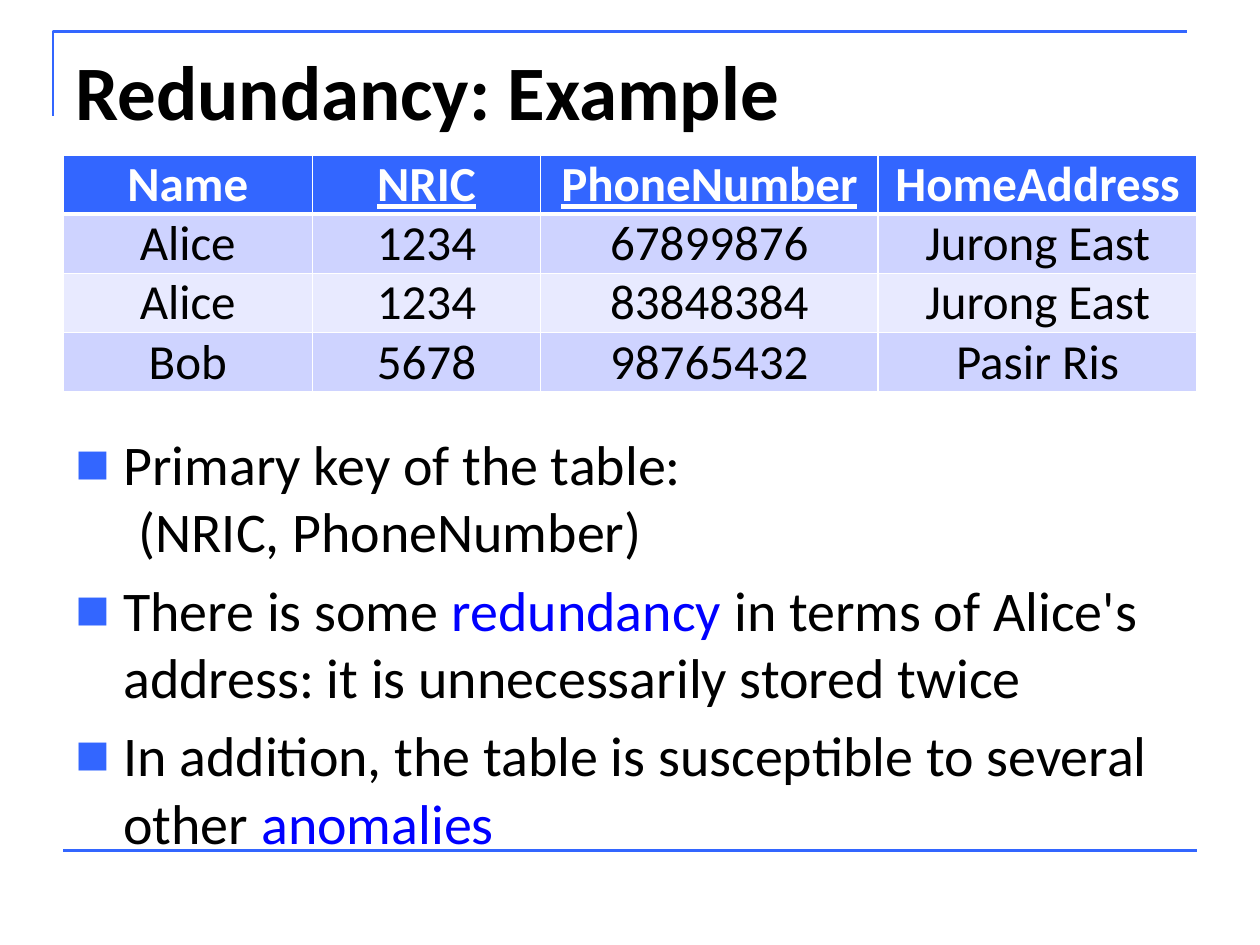
"""Build the slide about a redundancy example in a relational table."""
from lxml.etree import SubElement
from pptx import Presentation
from pptx.dml.color import RGBColor
from pptx.enum.shapes import MSO_CONNECTOR as Connector
from pptx.enum.text import MSO_ANCHOR as Anchor, PP_ALIGN as Align
from pptx.oxml.ns import qn
from pptx.util import Inches, Pt

FONT = "Calibri"
COLORS = {
    "blue": "3366FF",
    "highlight": "0000FF",
    "black": "000000",
    "white": "FFFFFF",
    "odd_row": "CED3FF",
    "even_row": "E8EAFF",
}
COLUMN_WIDTHS = [1.98, 1.81, 2.68, 2.53]
ROW_HEIGHT = 0.47
ROWS = [
    ["Name", "NRIC", "PhoneNumber", "HomeAddress"],
    ["Alice", "1234", "67899876", "Jurong East"],
    ["Alice", "1234", "83848384", "Jurong East"],
    ["Bob", "5678", "98765432", "Pasir Ris"],
]
KEY_COLUMNS = {"NRIC", "PhoneNumber"}
BULLETS = [
    [("Primary key of the table:\v\t(NRIC, PhoneNumber)", "black")],
    [
        ("There is some ", "black"),
        ("redundancy ", "highlight"),
        ("in terms of Alice's address: it is unnecessarily stored twice", "black"),
    ],
    [
        ("In addition, the table is susceptible to several other ", "black"),
        ("anomalies", "highlight"),
    ],
]


def rgb(name):
    return RGBColor.from_string(COLORS[name])


def style_font(font, size, color, bold=False):
    font.name = FONT
    font.size = Pt(size)
    font.bold = bold
    font.color.rgb = rgb(color)


def style_line(line):
    line.color.rgb = rgb("blue")
    line.width = Pt(1.5)


def add_corner_rule(slide):
    builder = slide.shapes.build_freeform(Inches(0.42), Inches(0.92))
    builder.add_line_segments(
        [(Inches(0.42), Inches(0.25)), (Inches(9.42), Inches(0.25))], close=False
    )
    shape = builder.convert_to_shape()
    shape.shadow.inherit = False
    shape.fill.background()
    style_line(shape.line)


def add_bottom_rule(slide):
    connector = slide.shapes.add_connector(
        Connector.STRAIGHT, Inches(0.5), Inches(6.75), Inches(9.5), Inches(6.75)
    )
    style_line(connector.line)
    SubElement(connector._element.spPr, qn("a:effectLst"))


def add_text_frame(slide, left, top, width, height):
    box = slide.shapes.add_textbox(
        Inches(left), Inches(top), Inches(width), Inches(height)
    )
    frame = box.text_frame
    frame.word_wrap = True
    frame.vertical_anchor = Anchor.TOP
    return frame


def add_title(slide, text):
    paragraph = add_text_frame(slide, 0.5, 0.3, 9, 1.25).paragraphs[0]
    paragraph.text = text
    style_font(paragraph.font, 44, "black", bold=True)


def add_bullet(paragraph):
    properties = paragraph._p.get_or_add_pPr()
    properties.set("marL", str(Inches(0.38)))
    properties.set("indent", str(-Inches(0.38)))
    color = SubElement(properties, qn("a:buClr"))
    SubElement(color, qn("a:srgbClr"), val=COLORS["blue"])
    SubElement(properties, qn("a:buSzPct"), val="65000")
    SubElement(properties, qn("a:buFont"), typeface=FONT)
    SubElement(properties, qn("a:buChar"), char="■")


def add_bullet_list(slide, bullets):
    frame = add_text_frame(slide, 0.5, 3.36, 9.22, 3.35)
    for index, parts in enumerate(bullets):
        paragraph = frame.add_paragraph() if index else frame.paragraphs[0]
        add_bullet(paragraph)
        if index:
            paragraph.space_before = Pt(6.4)
        style_font(paragraph.font, 32, "black")
        for text, color in parts:
            first, *others = text.split("\v")
            paragraph.add_run().text = first
            for other in others:
                paragraph.add_line_break()
                paragraph.add_run().text = other
            if color != "black":
                paragraph.runs[-1].font.color.rgb = rgb(color)


def set_borders(cell, top, bottom):
    properties = cell._tc.get_or_add_tcPr()
    for side, width in (("L", 1), ("R", 1), ("T", top), ("B", bottom)):
        line = SubElement(properties, qn(f"a:ln{side}"), w=str(Pt(width)))
        fill = SubElement(line, qn("a:solidFill"))
        SubElement(fill, qn("a:srgbClr"), val=COLORS["white"])


def fill_cell(cell, text, row):
    is_header = row == 0
    set_borders(cell, top=3 if row == 1 else 1, bottom=3 if is_header else 1)
    cell.fill.solid()
    cell.fill.fore_color.rgb = rgb(
        "blue" if is_header else "odd_row" if row % 2 else "even_row"
    )
    cell.margin_top = cell.margin_bottom = 0
    paragraph = cell.text_frame.paragraphs[0]
    paragraph.text = text
    paragraph.alignment = Align.CENTER
    style_font(paragraph.font, 28, "white" if is_header else "black", bold=is_header)
    if text in KEY_COLUMNS:
        paragraph.font.underline = True


def add_data_table(slide, rows):
    table = slide.shapes.add_table(
        len(rows), len(COLUMN_WIDTHS), Inches(0.5), Inches(1.23),
        Inches(sum(COLUMN_WIDTHS)), Inches(ROW_HEIGHT * len(rows)),
    ).table
    for column, width in zip(table.columns, COLUMN_WIDTHS):
        column.width = Inches(width)
    for row, texts in enumerate(rows):
        table.rows[row].height = Inches(ROW_HEIGHT)
        for column, text in enumerate(texts):
            fill_cell(table.cell(row, column), text, row)


def main():
    presentation = Presentation()
    presentation.slide_width = Inches(10)
    presentation.slide_height = Inches(7.5)
    slide = presentation.slides.add_slide(presentation.slide_layouts[6])
    add_corner_rule(slide)
    add_bottom_rule(slide)
    add_title(slide, "Redundancy: Example")
    add_bullet_list(slide, BULLETS)
    add_data_table(slide, ROWS)
    presentation.save("out.pptx")


if __name__ == "__main__":
    main()
